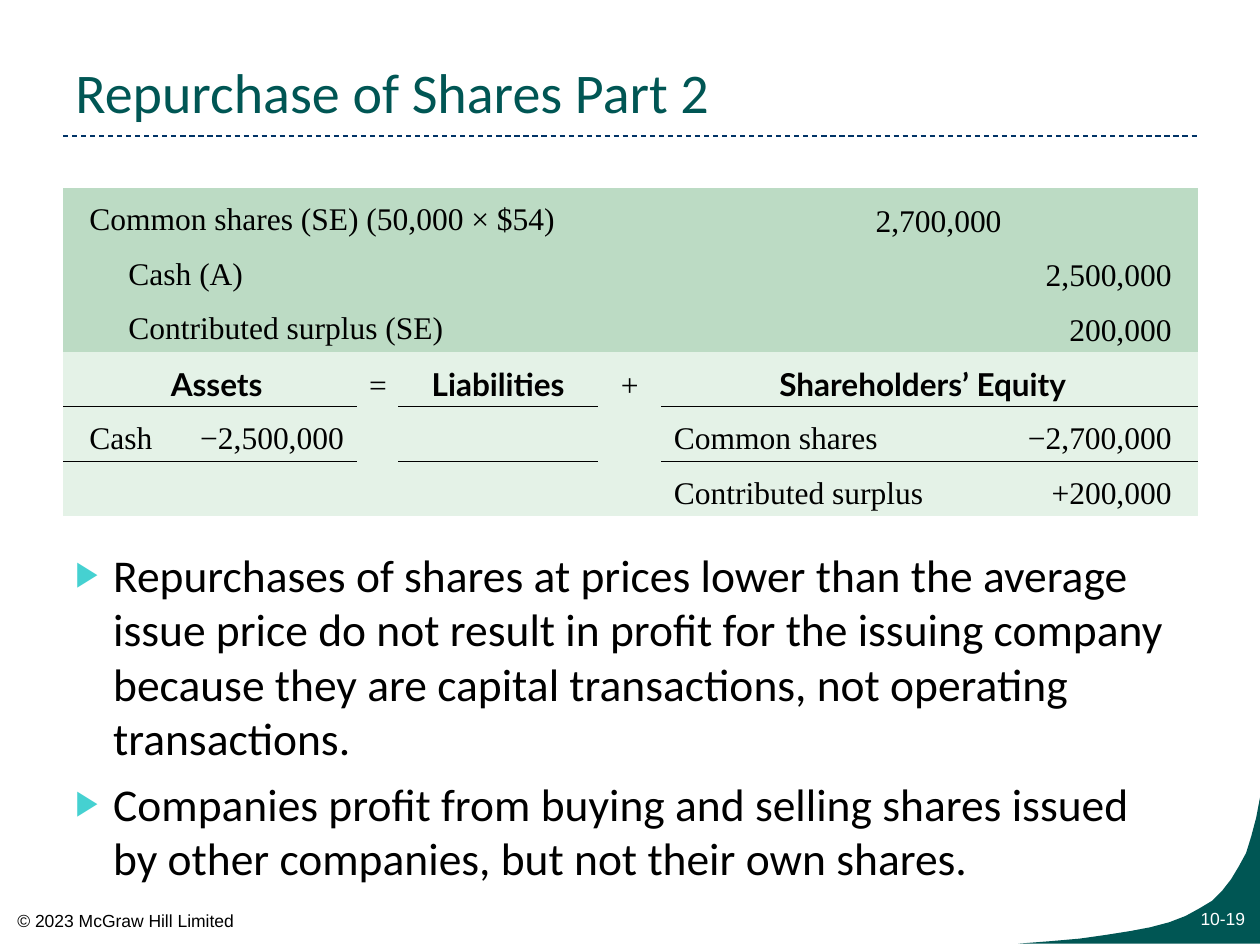
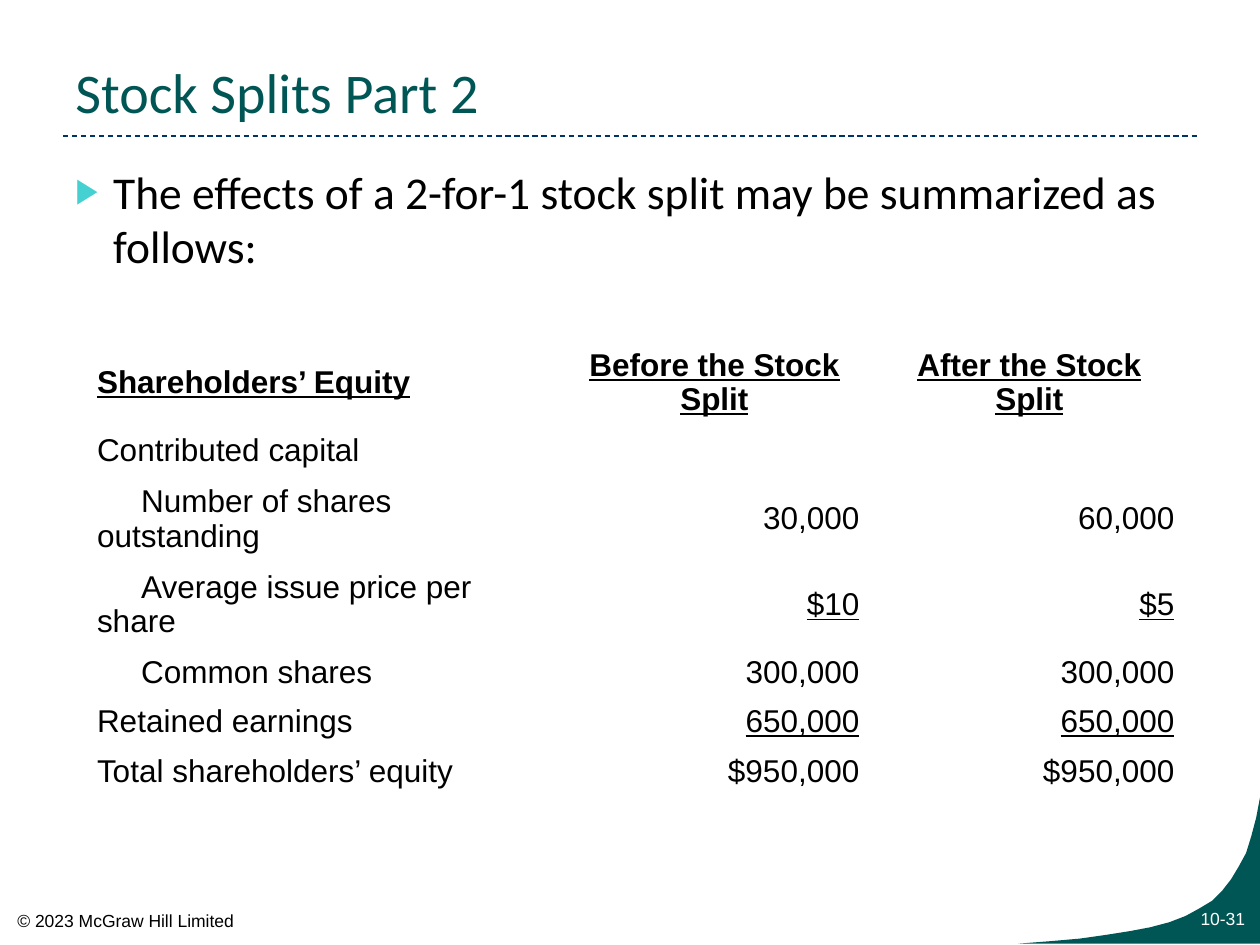
from dataclasses import dataclass
from typing import NamedTuple

from lxml import etree
from pptx import Presentation
from pptx.dml.color import RGBColor
from pptx.enum.dml import MSO_LINE
from pptx.enum.shapes import MSO_CONNECTOR
from pptx.enum.text import MSO_ANCHOR, PP_ALIGN
from pptx.oxml.ns import qn
from pptx.util import Inches, Pt

LEFT, CENTER, RIGHT = PP_ALIGN.LEFT, PP_ALIGN.CENTER, PP_ALIGN.RIGHT
TOP, MIDDLE, BOTTOM = MSO_ANCHOR.TOP, MSO_ANCHOR.MIDDLE, MSO_ANCHOR.BOTTOM
DASH, STRAIGHT = MSO_LINE.DASH, MSO_CONNECTOR.STRAIGHT

BLACK = RGBColor(0x00, 0x00, 0x00)
WHITE = RGBColor(0xFF, 0xFF, 0xFF)
TEAL = RGBColor(0x00, 0x56, 0x54)
NAVY = RGBColor(0x00, 0x33, 0x66)
AQUA = RGBColor(0x45, 0xD1, 0xD1)
GREEN = RGBColor(0xBC, 0xDB, 0xC4)
PALE = RGBColor(0xE4, 0xF2, 0xE7)

BARE = "{2D5ABB26-0587-4C30-8999-92F81FD0307C}"  # table style without grid
CURVE = [
    (8.08, 7.49), (8.34, 7.47), (8.57, 7.45), (8.78, 7.42), (8.97, 7.39),
    (9.13, 7.36), (9.28, 7.32), (9.41, 7.27), (9.52, 7.21), (9.62, 7.15),
    (9.7, 7.07), (9.77, 6.98), (9.83, 6.88), (9.89, 6.77), (9.93, 6.64),
    (9.97, 6.49), (10, 6.33),
]


class Box(NamedTuple):
    left: float
    top: float
    width: float
    height: float

    def emu(self) -> list:
        return [Inches(n) for n in self]


@dataclass
class Style:
    font: str
    size: float
    color: RGBColor = BLACK
    align: int = LEFT
    anchor: int = TOP
    bold: bool = False
    under: bool = False


@dataclass
class Cell:
    row: int
    col: int
    text: str
    align: int = LEFT
    anchor: int = MIDDLE
    span: int = 1
    indent: float = 0
    bold: bool = False
    under: bool = False


TITLE = Style("Calibri", 32, TEAL, anchor=BOTTOM)
BODY = Style("Calibri", 26)
NOTE = Style("Arial", 10)
PAGE = Style("Arial", 10, WHITE, RIGHT)


def style_para(para, style: Style) -> None:
    para.alignment = style.align
    font = para.font
    font.name, font.size = style.font, Pt(style.size)
    font.bold, font.underline = style.bold, style.under
    font.color.rgb = style.color


def add_mark(para) -> None:
    """Hanging triangle bullet."""
    props = para._p.get_or_add_pPr()
    props.set("marL", str(Inches(0.3)))
    props.set("indent", str(Inches(-0.3)))
    color = etree.SubElement(props, qn("a:buClr"))
    etree.SubElement(color, qn("a:srgbClr"), val=str(AQUA))
    etree.SubElement(props, qn("a:buSzPct"), val="76000")
    etree.SubElement(props, qn("a:buFont"), typeface="Arial")
    etree.SubElement(props, qn("a:buChar"), char="▶")


def add_text(slide, box: Box, lines: list[str], style: Style,
             marks: bool = False, wrap: bool = True) -> None:
    frame = slide.shapes.add_textbox(*box.emu()).text_frame
    frame.word_wrap = wrap
    frame.vertical_anchor = style.anchor
    for num, line in enumerate(lines):
        para = frame.paragraphs[0] if num == 0 else frame.add_paragraph()
        para.text = line
        if marks:
            add_mark(para)
        if num:
            para.space_before = Pt(6)
        style_para(para, style)


def add_frame(deck, title: str, page: str):
    """New slide with the shared rule, corner, footer and title."""
    slide = deck.slides.add_slide(deck.slide_layouts[6])
    rule = slide.shapes.add_connector(
        STRAIGHT, Inches(0.5), Inches(1.08), Inches(9.5), Inches(1.08))
    rule.line.color.rgb = NAVY
    rule.line.width = Pt(0.75)
    rule.line.dash_style = DASH
    etree.SubElement(rule.element.spPr, qn("a:effectLst"))

    pen = slide.shapes.build_freeform(Inches(10), Inches(7.49))
    pen.add_line_segments([(Inches(x), Inches(y)) for x, y in CURVE])
    corner = pen.convert_to_shape()
    corner.shadow.inherit = False
    corner.fill.solid()
    corner.fill.fore_color.rgb = TEAL
    corner.line.fill.background()

    add_text(slide, Box(9, 7.16, 0.98, 0.27), [page], PAGE)
    add_text(slide, Box(0.04, 7.17, 1.94, 0.27),
             ["© 2023 McGraw Hill Limited"], NOTE, wrap=False)
    add_text(slide, Box(0.5, 0.17, 9, 0.87), [title], TITLE)
    return slide


def add_grid(slide, left: float, top: float, cols: list[float],
             rows: list[float]):
    """Empty table without a style, sized by its columns and rows."""
    box = Box(left, top, sum(cols), sum(rows))
    shape = slide.shapes.add_table(len(rows), len(cols), *box.emu())
    for tag in shape.element.iter(qn("a:tableStyleId")):
        tag.text = BARE
    table = shape.table
    table.first_row = table.horz_banding = False
    for col, width in zip(table.columns, cols):
        col.width = Inches(width)
    for row, height in zip(table.rows, rows):
        row.height = Inches(height)
    for cell in table.iter_cells():
        cell.fill.background()
    return table


def fill_cell(table, item: Cell, style: Style):
    """Write one cell and return it with its paragraph."""
    cell = table.cell(item.row, item.col)
    if item.span > 1:
        cell.merge(table.cell(item.row, item.col + item.span - 1))
    cell.vertical_anchor = item.anchor
    para = cell.text_frame.paragraphs[0]
    para.text = item.text
    if item.indent:
        props = para._p.get_or_add_pPr()
        props.set("marL", "0")
        props.set("indent", str(Inches(item.indent)))
    style_para(para, style)
    return cell, para


def add_edge(cell, side: str) -> None:
    line = etree.Element(qn(f"a:{side}"), w=str(Pt(0.75)))
    fill = etree.SubElement(line, qn("a:solidFill"))
    etree.SubElement(fill, qn("a:srgbClr"), val=str(BLACK))
    cell._tc.get_or_add_tcPr().insert(0, line)


def build_entry(deck) -> None:
    slide = add_frame(deck, "Repurchase of Shares Part 2", "10-19")
    add_text(slide, Box(0.5, 4.29, 9, 2.79), [
        "Repurchases of shares at prices lower than the average issue price "
        "do not result in profit for the issuing company because they are "
        "capital transactions, not operating transactions.",
        "Companies profit from buying and selling shares issued by other "
        "companies, but not their own shares.",
    ], BODY, marks=True)

    # Journal entry above, accounting equation below
    cols = [0.91, 1.42, 0.33, 1.17, 0.42, 0.5, 2.8, 1.46]
    table = add_grid(slide, 0.5, 1.49, cols, [0.435] * 6)
    for row in range(6):
        for col in range(len(cols)):
            cell = table.cell(row, col)
            cell.fill.solid()
            cell.fill.fore_color.rgb = GREEN if row < 3 else PALE
    items = [
        Cell(0, 0, "Common shares (SE) (50,000 × $54)", span=6),
        Cell(0, 6, "2,700,000", RIGHT, BOTTOM),
        Cell(1, 0, "Cash (A)", span=6, indent=0.31),
        Cell(1, 7, "2,500,000", RIGHT, BOTTOM),
        Cell(2, 0, "Contributed surplus (SE)", span=5, indent=0.31),
        Cell(2, 7, "200,000", RIGHT, BOTTOM),
        Cell(3, 0, "Assets", CENTER, BOTTOM, span=2, bold=True),
        Cell(3, 2, "=", CENTER, BOTTOM),
        Cell(3, 3, "Liabilities", CENTER, BOTTOM, span=2, bold=True),
        Cell(3, 5, "+", CENTER, BOTTOM),
        Cell(3, 6, "Shareholders’ Equity", CENTER, span=2, bold=True),
        Cell(4, 0, "Cash"),
        Cell(4, 1, "−2,500,000", RIGHT),
        Cell(4, 6, "Common shares"),
        Cell(4, 7, "−2,700,000", RIGHT),
        Cell(5, 6, "Contributed surplus"),
        Cell(5, 7, "+200,000", RIGHT),
    ]
    for item in items:
        font = "Lato" if item.bold else "Times New Roman"
        style = Style(font, 18, align=item.align, bold=item.bold)
        cell, _ = fill_cell(table, item, style)
        last = item.col + item.span == len(cols)
        cell.margin_left = Inches(0.1 if item.col else 0.21)
        cell.margin_right = Inches(0.21 if last else 0.1)
        cell.margin_top, cell.margin_bottom = Inches(0.1), Inches(0.03)
    for col in (0, 1, 3, 4, 6, 7):
        add_edge(table.cell(3, col), "lnB")
        add_edge(table.cell(4, col), "lnT")


def build_split(deck) -> None:
    slide = add_frame(deck, "Stock Splits Part 2", "10-31")
    add_text(slide, Box(0.5, 1.25, 9, 1.1), [
        "The effects of a 2-for-1 stock split may be summarized as follows:",
    ], BODY, marks=True)

    # Equity before and after the split
    heights = [0.66, 0.4, 0.66, 0.66, 0.38, 0.38, 0.38]
    table = add_grid(slide, 0.67, 2.7, [3.75, 2.5, 2.5], heights)
    rows = [
        ("Shareholders’ Equity", "Before the Stock Split",
         "After the Stock Split"),
        ("Contributed capital", "", ""),
        ("Number of shares outstanding", "30,000", "60,000"),
        ("Average issue price per share", "$10", "$5"),
        ("Common shares", "300,000", "300,000"),
        ("Retained earnings", "650,000", "650,000"),
        ("Total shareholders’ equity", "$950,000", "$950,000"),
    ]
    for row, texts in enumerate(rows):
        for col, text in enumerate(texts):
            head = row == 0
            align = LEFT if col == 0 else CENTER if head else RIGHT
            under = head or (col > 0 and row in (3, 5))
            indent = 0.35 if col == 0 and row in (2, 3, 4) else 0
            item = Cell(row, col, text, indent=indent)
            style = Style("Arial", 18, align=align, bold=head, under=under)
            _, para = fill_cell(table, item, style)
            para.line_spacing = 0.97


def main() -> None:
    deck = Presentation()
    deck.slide_width, deck.slide_height = Inches(10), Inches(7.5)
    build_entry(deck)
    build_split(deck)
    deck.save("out.pptx")


if __name__ == "__main__":
    main()
